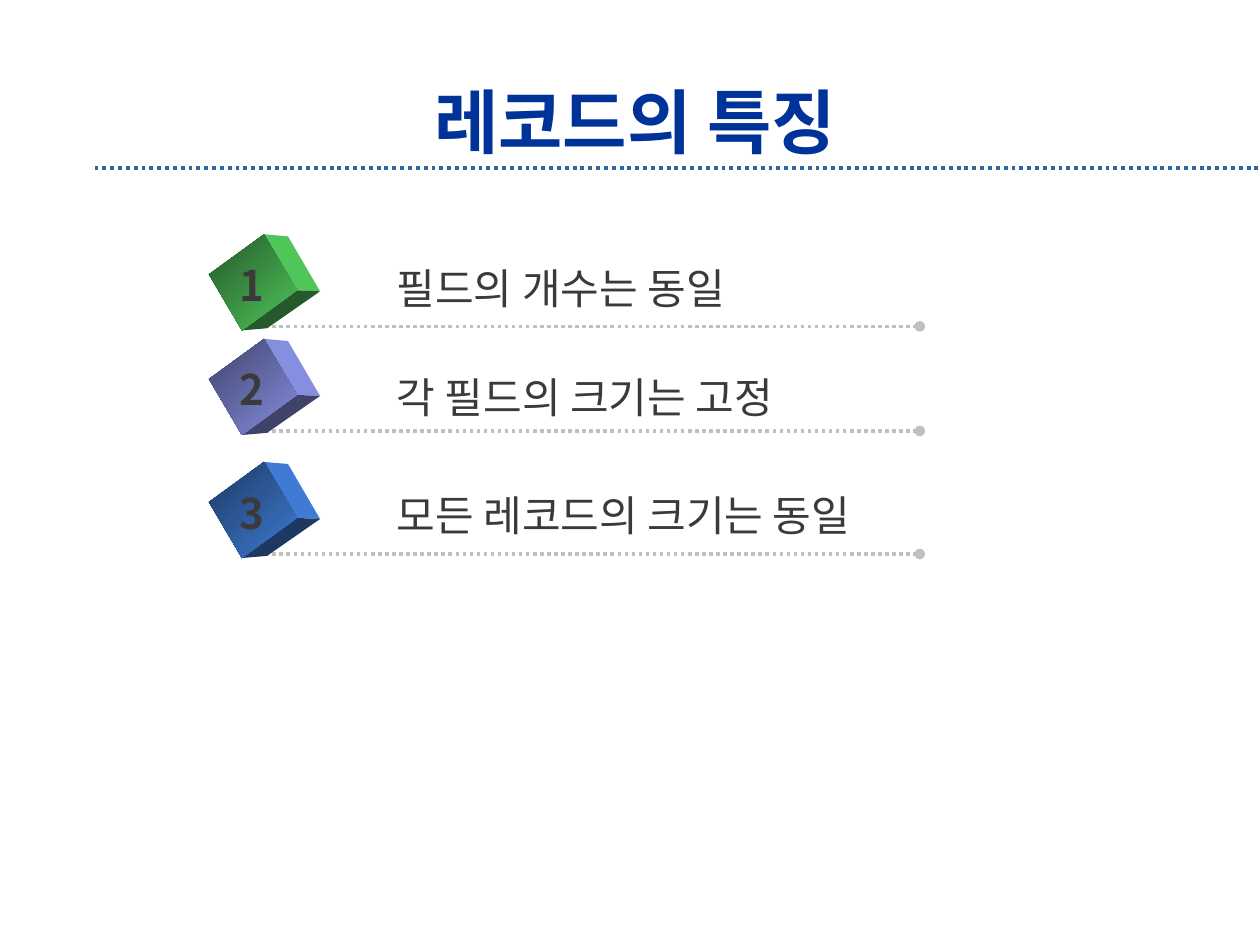
"""Build a slide listing three traits of records beside numbered cubes."""
from lxml import etree
from pptx import Presentation
from pptx.dml.color import RGBColor
from pptx.enum.dml import MSO_LINE
from pptx.enum.shapes import MSO_CONNECTOR
from pptx.enum.text import MSO_ANCHOR, PP_ALIGN
from pptx.oxml.ns import qn
from pptx.util import Pt

DOTS = MSO_LINE.ROUND_DOT
STRAIGHT = MSO_CONNECTOR.STRAIGHT
MIDDLE = MSO_ANCHOR.MIDDLE
LEFT, CENTER = PP_ALIGN.LEFT, PP_ALIGN.CENTER

FONT = "Noto Sans CJK KR"
NAVY = RGBColor(0x00, 0x33, 0x99)
STEEL = RGBColor(0x33, 0x66, 0x99)
GRAY = RGBColor(0xC0, 0xC0, 0xC0)
INK = RGBColor(0x3A, 0x3A, 0x3A)

TITLE = "레코드의 특징"
ITEMS = [
    ("필드의 개수는 동일", 186.5, 146.2,
     RGBColor(0x4F, 0xC5, 0x5A), RGBColor(0x25, 0x58, 0x2A)),
    ("각 필드의 크기는 고정", 246.3, 208.1,
     RGBColor(0x86, 0x8E, 0xE0), RGBColor(0x3F, 0x43, 0x6A)),
    ("모든 레코드의 크기는 동일", 316.6, 275.8,
     RGBColor(0x3F, 0x7B, 0xD4), RGBColor(0x1D, 0x39, 0x62)),
]
FRONT = [(119.4, -29.7), (150.9, -52.6), (169.7, -20.6), (138.3, 2.3)]
SIDE = [(150.9, -52.6), (164.6, -51.4), (182.9, -20), (169.7, -20.6)]
BASE = [(169.7, -20.6), (182.9, -20), (152.6, 1.1), (138.3, 2.3)]


def add_text(slide, text, box, size, color, bold=False, align=LEFT, wrap=True):
    frame = slide.shapes.add_textbox(*map(Pt, box)).text_frame
    frame.word_wrap = wrap
    frame.vertical_anchor = MIDDLE
    frame.text = text
    para = frame.paragraphs[0]
    para.alignment = align
    run = para.runs[0]
    font = run.font
    font.name, font.size, font.bold = FONT, Pt(size), bold
    font.color.rgb = color
    etree.SubElement(font._element, qn("a:ea"), typeface=FONT)


def add_rule(slide, left, right, y, color, width, dot=False):
    rule = slide.shapes.add_connector(STRAIGHT, Pt(left), Pt(y), Pt(right), Pt(y))
    rule.line.color.rgb = color
    rule.line.width = Pt(width)
    rule.line.dash_style = DOTS
    props = rule._element.spPr
    if dot:
        etree.SubElement(props.find(qn("a:ln")), qn("a:tailEnd"), type="oval")
    etree.SubElement(props, qn("a:effectLst"))


def add_face(slide, points, y, color, dark=None):
    spots = [(Pt(x), Pt(y + dy)) for x, dy in points]
    path = slide.shapes.build_freeform(*spots[0])
    path.add_line_segments(spots[1:], close=True)
    face = path.convert_to_shape()
    face.shadow.inherit = False
    face.line.fill.background()
    if dark is None:
        face.fill.solid()
        face.fill.fore_color.rgb = color
        return
    face.fill.gradient()
    face.fill.gradient_angle = 315
    for stop, shade in zip(face.fill.gradient_stops, (dark, color)):
        stop.color.rgb = shade


def main():
    deck = Presentation()
    deck.slide_width, deck.slide_height = Pt(720), Pt(540)
    slide = deck.slides.add_slide(deck.slide_layouts[6])
    add_rule(slide, 54, 720, 96, STEEL, 2.25)
    add_text(slide, TITLE, (54, 48, 618, 42), 40, NAVY, True, CENTER)
    for num, (text, y, top, light, dark) in enumerate(ITEMS, 1):
        add_rule(slide, 147.6, 525.6, y, GRAY, 2, dot=True)
        add_face(slide, SIDE, y, light)
        add_face(slide, BASE, y, dark)
        add_face(slide, FRONT, y, light, dark)
        add_text(slide, text, (219.6, top, 306, 36.7), 24, INK)
        add_text(slide, str(num), (129.6, y - 42.3, 29.5, 36.7), 24, INK, True, wrap=False)
    deck.save("out.pptx")


if __name__ == "__main__":
    main()
